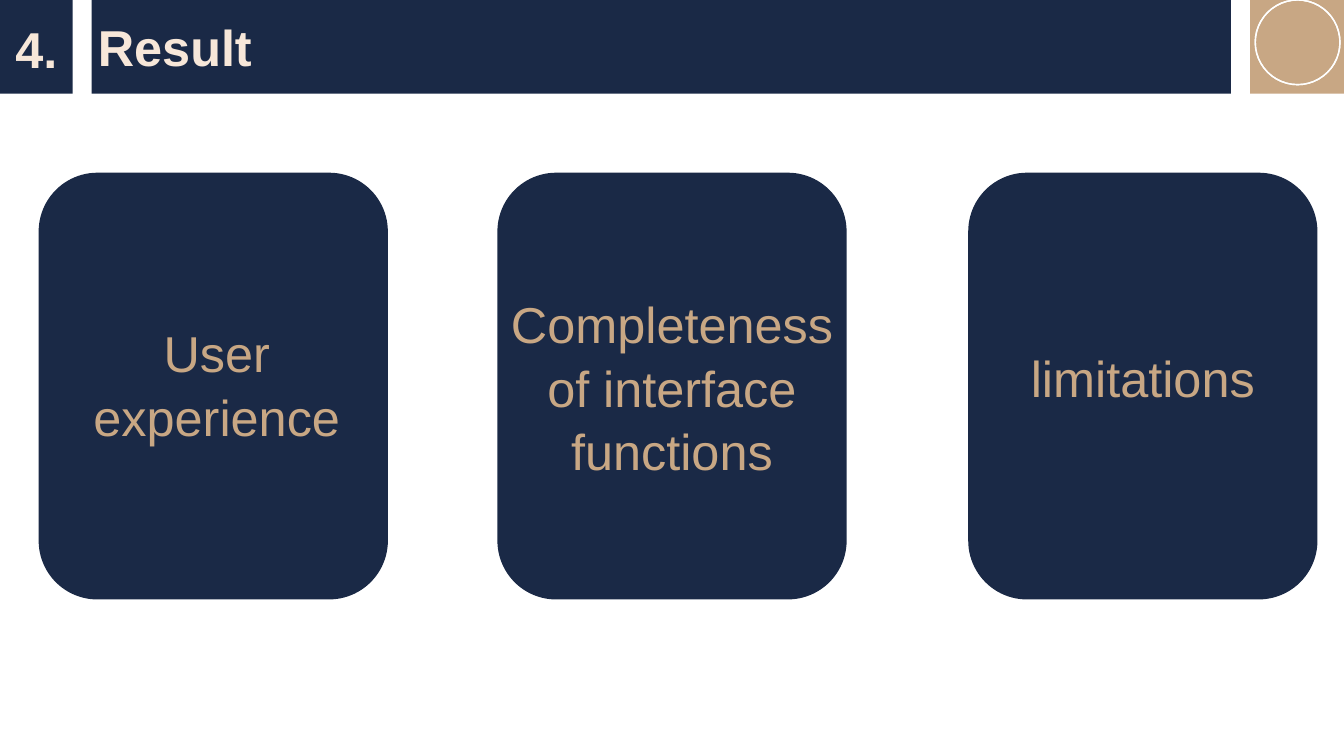
from dataclasses import dataclass

from pptx import Presentation
from pptx.dml.color import RGBColor
from pptx.enum.shapes import MSO_SHAPE
from pptx.enum.text import MSO_ANCHOR, MSO_AUTO_SIZE, PP_ALIGN
from pptx.shapes.autoshape import Shape
from pptx.slide import Slide
from pptx.util import Inches, Pt

NAVY = RGBColor(0x1A, 0x29, 0x46)
TAN = RGBColor(0xC8, 0xA7, 0x84)
CREAM = RGBColor(0xF7, 0xE7, 0xD9)
WHITE = RGBColor(0xFF, 0xFF, 0xFF)
RECT = MSO_SHAPE.RECTANGLE
ROUND = MSO_SHAPE.ROUNDED_RECTANGLE
DONUT = MSO_SHAPE.DONUT
LEFT = PP_ALIGN.LEFT
CENTER = PP_ALIGN.CENTER
TOP = MSO_ANCHOR.TOP
MIDDLE = MSO_ANCHOR.MIDDLE
NO_FIT = MSO_AUTO_SIZE.NONE

BAND = 0.93
CARD_TOP = 1.72
CARD_WIDTH = 3.45
CARD_HEIGHT = 4.22


@dataclass(frozen=True)
class Box:
    left: float
    top: float
    width: float
    height: float


@dataclass(frozen=True)
class Card:
    left: float
    text: str
    label: Box
    inset: float = 0.05


CARDS = [
    Card(0.39, "User experience", Box(0.58, 3.07, 3.14, 1.41), 0.1),
    Card(4.94, "Completeness of interface functions", Box(4.95, 2.83, 3.43, 2)),
    Card(9.61, "limitations", Box(10.07, 3.36, 2.53, 0.78)),
]


def place(shape: Shape, box: Box) -> None:
    shape.left, shape.top = Inches(box.left), Inches(box.top)
    shape.width, shape.height = Inches(box.width), Inches(box.height)


def add_block(slide: Slide, kind: MSO_SHAPE, box: Box, fill: RGBColor,
              line: RGBColor | None = None, adjust: float | None = None) -> Shape:
    shape = slide.shapes.add_shape(kind, 0, 0, 0, 0)
    place(shape, box)
    shape.shadow.inherit = False
    shape.fill.solid()
    shape.fill.fore_color.rgb = fill
    if line is None:
        shape.line.fill.background()
    else:
        shape.line.color.rgb = line
        shape.line.width = Pt(1)
    if adjust is not None:
        shape.adjustments[0] = adjust
    return shape


def write(shape: Shape, text: str, color: RGBColor, bold: bool = False,
          align: PP_ALIGN = CENTER, anchor: MSO_ANCHOR = TOP,
          inset: float = 0.05) -> None:
    frame = shape.text_frame
    frame.text = text
    frame.word_wrap = True
    frame.auto_size = NO_FIT
    frame.vertical_anchor = anchor
    frame.margin_left = frame.margin_right = Inches(0.1)
    frame.margin_top = frame.margin_bottom = Inches(inset)
    para = frame.paragraphs[0]
    para.alignment = align
    para.line_spacing = 1.05
    para.space_before = para.space_after = Pt(0)
    font = para.runs[0].font
    font.name = "Arial"
    font.size = Pt(36)
    font.bold = bold
    font.color.rgb = color


def add_header(slide: Slide) -> None:
    add_block(slide, RECT, Box(12.4, 0, BAND, BAND), TAN)
    bar = add_block(slide, RECT, Box(0.91, 0, 11.3, BAND), NAVY)
    number = add_block(slide, RECT, Box(0, 0, 0.72, BAND), NAVY)
    write(number, "4.", CREAM, bold=True, anchor=MIDDLE)
    add_block(slide, DONUT, Box(12.45, 0, 0.84, 0.84), NAVY, WHITE, 0)
    title = slide.shapes.title
    place(title, Box(0.87, 0.08, 8.74, 0.71))
    write(title, "Result", CREAM, bold=True, align=LEFT)
    bar.element.addnext(title.element)


def add_card(slide: Slide, card: Card) -> None:
    frame = Box(card.left, CARD_TOP, CARD_WIDTH, CARD_HEIGHT)
    add_block(slide, ROUND, frame, NAVY, NAVY, 0.167)
    label = slide.shapes.add_textbox(0, 0, 0, 0)
    place(label, card.label)
    write(label, card.text, TAN, inset=card.inset)


def main() -> None:
    deck = Presentation()
    deck.slide_width, deck.slide_height = Inches(13.33), Inches(7.5)
    slide = deck.slides.add_slide(deck.slide_layouts.get_by_name("Title Only"))
    add_header(slide)
    for card in CARDS:
        add_card(slide, card)
    deck.save("out.pptx")


if __name__ == "__main__":
    main()
